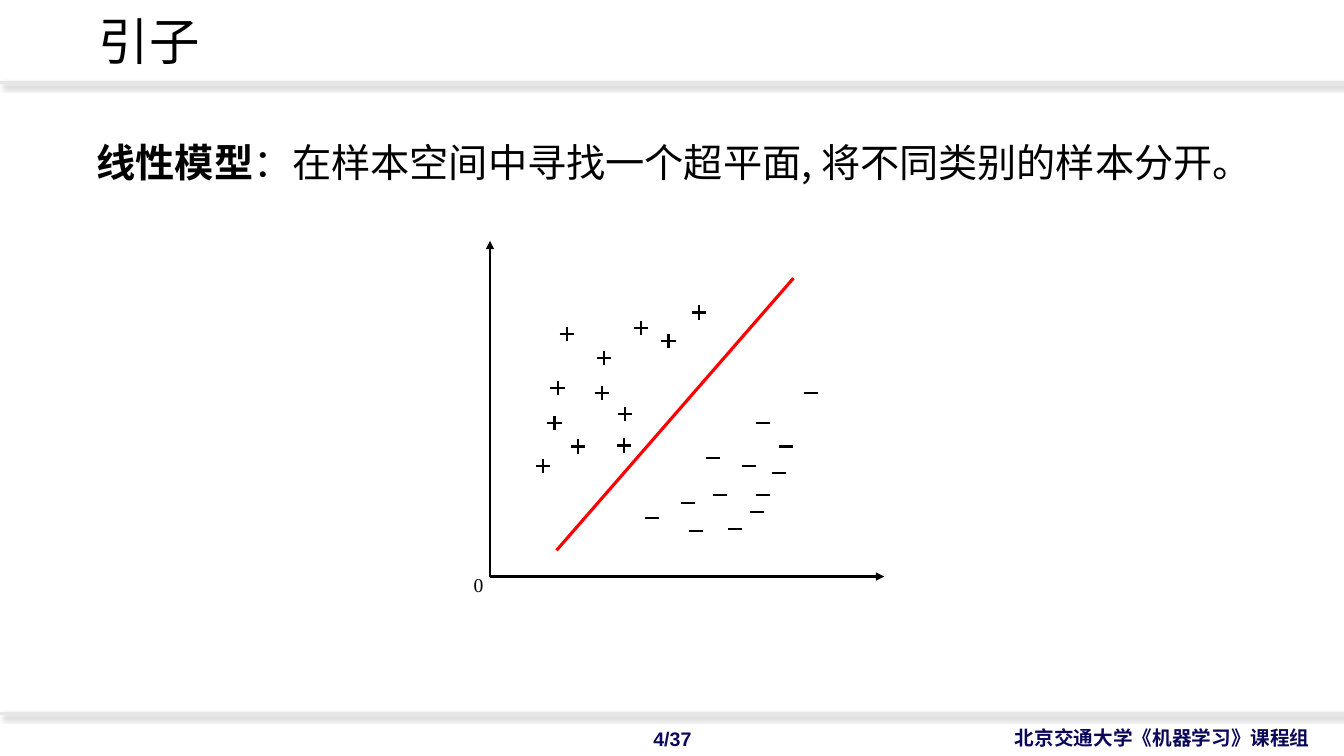
from typing import NamedTuple

from lxml.etree import SubElement
from pptx import Presentation
from pptx.dml.color import RGBColor
from pptx.enum.shapes import MSO_CONNECTOR
from pptx.enum.text import MSO_ANCHOR, PP_ALIGN
from pptx.oxml.ns import qn
from pptx.shapes.connector import Connector
from pptx.shapes.shapetree import GroupShapes, SlideShapes
from pptx.slide import Slide
from pptx.util import Inches, Pt

BLACK = RGBColor(0x00, 0x00, 0x00)
RED = RGBColor(0xFF, 0x00, 0x00)
NAVY = RGBColor(0x0B, 0x07, 0x59)
RULE_GRAY = RGBColor(0xE7, 0xE6, 0xE6)

CHINESE_FONT = "Noto Sans CJK SC"
SLIDE_WIDTH = 13.33
HALF_MARK = 0.07


class Point(NamedTuple):
    x: float
    y: float


class Frame(NamedTuple):
    left: float
    top: float
    width: float
    height: float


class Span(NamedTuple):
    text: str
    bold: bool = False


POSITIVE_SAMPLES = [
    Point(6.36, 3.25), Point(6.2, 4.11), Point(5.97, 3.9), Point(5.5, 4.2),
    Point(5.73, 4.43), Point(6.19, 4.42), Point(5.62, 3.31), Point(6.93, 3.1),
    Point(6.63, 3.38), Point(5.39, 4.62), Point(5.99, 3.55), Point(5.53, 3.85),
]
NEGATIVE_SAMPLES = [
    Point(7.73, 4.69), Point(7.07, 4.54), Point(6.9, 5.27), Point(6.47, 5.14),
    Point(7.51, 5.08), Point(7.57, 4.91), Point(6.82, 4.99), Point(7.8, 4.43),
    Point(7.14, 4.91), Point(7.29, 5.25), Point(7.43, 4.62), Point(7.57, 4.2),
    Point(8.04, 3.9),
]


def add_text(page: Slide, frame: Frame, spans: list[Span], *, size: float, font: str,
             color: RGBColor = BLACK, align: PP_ALIGN = PP_ALIGN.LEFT,
             anchor: MSO_ANCHOR = MSO_ANCHOR.TOP, line_spacing: float = 1.0,
             wrap: bool = True) -> None:
    box = page.shapes.add_textbox(*(Inches(length) for length in frame))
    box.text_frame.word_wrap = wrap
    box.text_frame.vertical_anchor = anchor
    para = box.text_frame.paragraphs[0]
    para.alignment = align
    para.line_spacing = line_spacing
    for span in spans:
        run = para.add_run()
        run.text = span.text
        run.font.size = Pt(size)
        run.font.bold = span.bold
        run.font.name = font
        run.font.color.rgb = color
        if font == CHINESE_FONT:
            properties = run._r.get_or_add_rPr()
            properties.set("lang", "zh-CN")
            SubElement(properties, qn("a:ea"), typeface=font)


def add_line(shapes: SlideShapes | GroupShapes, start: Point, end: Point, *,
             color: RGBColor = BLACK, width: float = 1.5, arrow: bool = False,
             shadow: bool = False) -> Connector:
    line = shapes.add_connector(
        MSO_CONNECTOR.STRAIGHT, *(Inches(length) for length in (*start, *end)))
    line.line.color.rgb = color
    line.line.width = Pt(width)
    properties = line._element.spPr
    if arrow:
        SubElement(properties.find(qn("a:ln")), qn("a:tailEnd"), type="triangle")
    effects = SubElement(properties, qn("a:effectLst"))
    if shadow:
        outer = SubElement(effects, qn("a:outerShdw"), blurRad=str(Pt(4)),
                           dist=str(Pt(3)), dir="2700000", algn="tl", rotWithShape="0")
        shade = SubElement(outer, qn("a:srgbClr"), val=str(BLACK))
        SubElement(shade, qn("a:alpha"), val="40000")
    return line


def add_minus(shapes: SlideShapes | GroupShapes, center: Point) -> None:
    add_line(shapes, Point(center.x - HALF_MARK, center.y),
             Point(center.x + HALF_MARK, center.y))


def add_plus(page: Slide, center: Point) -> None:
    plus = page.shapes.add_group_shape()
    add_minus(plus.shapes, center)
    add_line(plus.shapes, Point(center.x, center.y - HALF_MARK),
             Point(center.x, center.y + HALF_MARK))


def add_header_and_footer(page: Slide) -> None:
    add_text(page, Frame(8.88, 7.15, 4.21, 0.34), [Span("北京交通大学《机器学习》课程组", True)],
             size=14, font="Arial", color=NAVY, align=PP_ALIGN.RIGHT,
             anchor=MSO_ANCHOR.MIDDLE)
    add_text(page, Frame(6.05, 7.16, 1.24, 0.34), [Span("4/37", True)],
             size=14, font="Arial", color=NAVY, align=PP_ALIGN.CENTER,
             anchor=MSO_ANCHOR.MIDDLE)
    for y in (0.82, 7.08):
        add_line(page.shapes, Point(0, y), Point(SLIDE_WIDTH, y),
                 color=RULE_GRAY, width=2, shadow=True)
    add_text(page, Frame(0.88, -0.29, 11.5, 1.45), [Span("引子")], size=36,
             font=CHINESE_FONT, anchor=MSO_ANCHOR.MIDDLE, line_spacing=0.9)


def add_sample_plot(page: Slide) -> None:
    origin = Point(4.86, 5.72)
    for tip in (Point(origin.x, 2.39), Point(8.77, origin.y)):
        add_line(page.shapes, origin, tip, arrow=True)
    for center in POSITIVE_SAMPLES:
        add_plus(page, center)
    for center in NEGATIVE_SAMPLES:
        add_minus(page.shapes, center)
    add_line(page.shapes, Point(5.52, 5.46), Point(7.87, 2.76), color=RED, width=2.25)
    add_text(page, Frame(4.6, 5.63, 0.3, 0.34), [Span("0")], size=14,
             font="Times New Roman", wrap=False)


def main() -> None:
    deck = Presentation()
    deck.slide_width = Inches(SLIDE_WIDTH)
    deck.slide_height = Inches(7.5)
    page = deck.slides.add_slide(deck.slide_layouts[6])
    add_header_and_footer(page)
    add_text(page, Frame(0.86, 1.38, 11.39, 1.12),
             [Span("线性模型", True), Span("：在样本空间中寻找一个超平面, 将不同类别的样本分开。")],
             size=28, font=CHINESE_FONT, line_spacing=0.9)
    add_sample_plot(page)
    deck.save("out.pptx")


if __name__ == "__main__":
    main()
